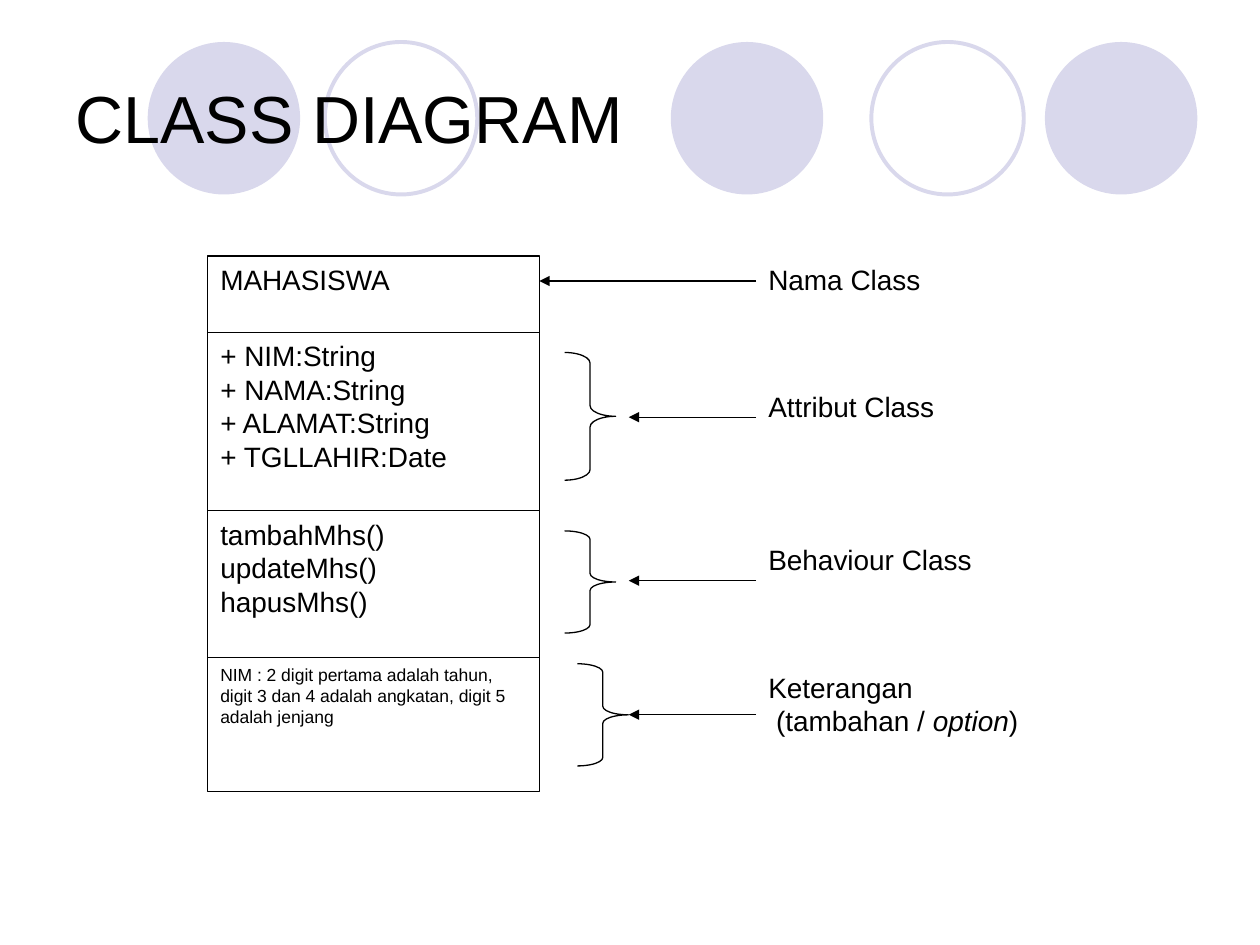
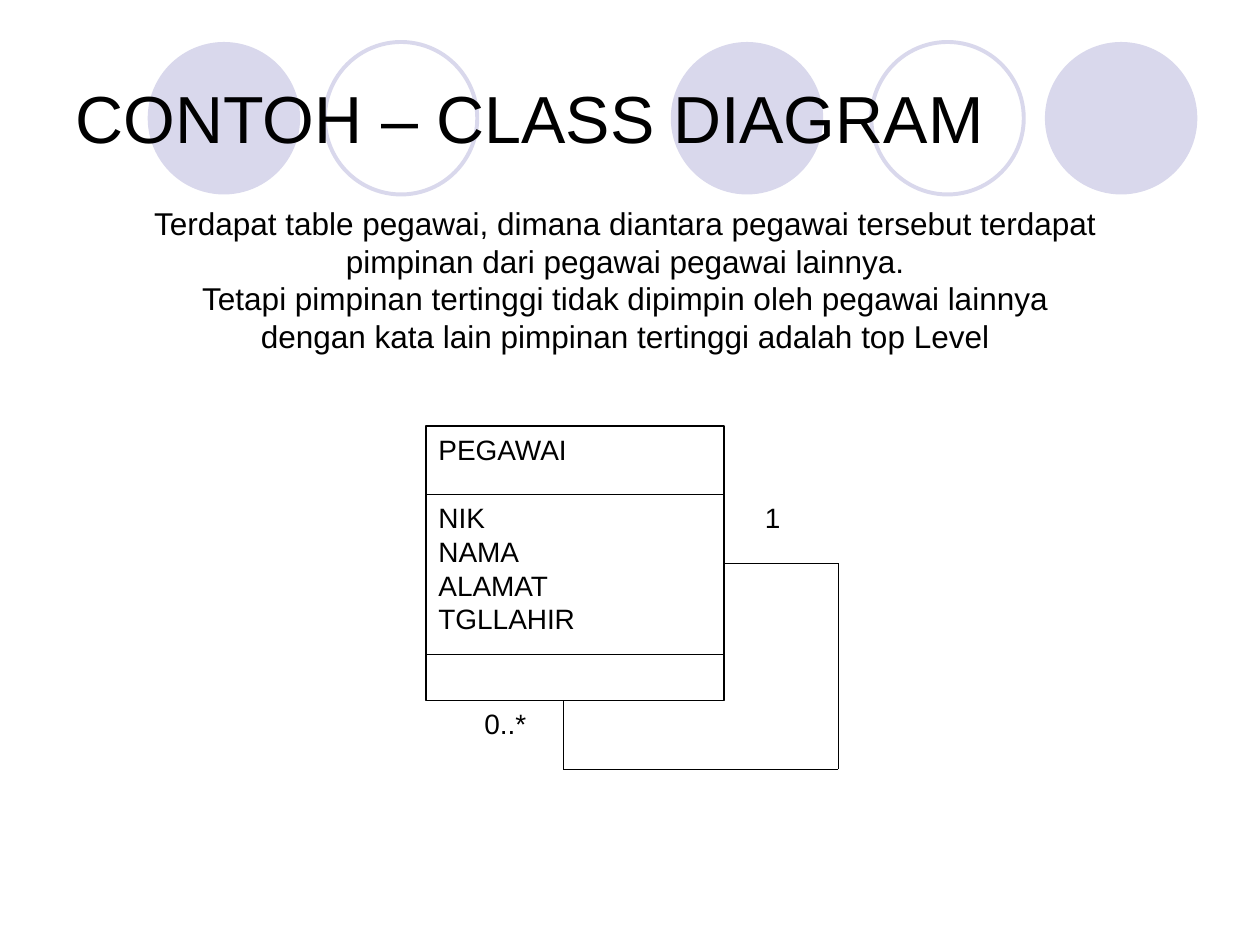
from itertools import pairwise

from lxml.etree import SubElement
from pptx import Presentation
from pptx.dml.color import RGBColor
from pptx.enum.shapes import MSO_CONNECTOR as Connector, MSO_SHAPE as Shape
from pptx.enum.text import MSO_ANCHOR as Anchor, MSO_AUTO_SIZE as AutoSize, PP_ALIGN as Align
from pptx.oxml.ns import qn
from pptx.util import Pt

BLACK, WHITE, LILAC = "000000", "FFFFFF", "D9D8EC"
FONT = "Arial"
CIRCLE_SIZE = 87.1
FILLED_CIRCLES = [383.3, 597.1, 84.4]
OUTLINED_CIRCLES = [497.9, 185.6]


def color(value):
    return RGBColor.from_string(value)


class ClassDiagramDeck:
    def __init__(self):
        self.deck = Presentation()
        self.deck.slide_width, self.deck.slide_height = Pt(720), Pt(540)
        self.layout = self.deck.slide_layouts.get_by_name("Title Only")
        self.page = None

    def new_page(self, title):
        first = self.page is None
        self.page = self.deck.slides.add_slide(self.layout)
        if first:
            self.add_circles()
        box = self.page.shapes.title
        box.left, box.top, box.width, box.height = Pt(36), Pt(21.6), Pt(648), Pt(90)
        self.fill_text(box, [title], size=38, anchor=Anchor.MIDDLE)

    def add_circles(self):
        tree = self.layout.shapes._spTree
        for left in FILLED_CIRCLES + OUTLINED_CIRCLES:
            filled = left in FILLED_CIRCLES
            circle = self.shape(Shape.OVAL, left, 24, CIRCLE_SIZE, CIRCLE_SIZE,
                                fill=LILAC if filled else None,
                                line=None if filled else LILAC, weight=2.25)
            tree.insert(2, circle._element)

    def shape(self, kind, left, top, width, height, fill=None, line=BLACK, weight=0.75):
        shape = self.page.shapes.add_shape(kind, Pt(left), Pt(top), Pt(width), Pt(height))
        shape.shadow.inherit = False
        if fill:
            shape.fill.solid()
            shape.fill.fore_color.rgb = color(fill)
        else:
            shape.fill.background()
        if line:
            shape.line.color.rgb = color(line)
            shape.line.width = Pt(weight)
        else:
            shape.line.fill.background()
        return shape

    def fill_text(self, box, lines, size=16, align=Align.LEFT, anchor=Anchor.TOP):
        frame = box.text_frame
        frame.word_wrap = True
        frame.auto_size = AutoSize.NONE
        frame.vertical_anchor = anchor
        for index, line in enumerate(lines):
            para = frame.add_paragraph() if index else frame.paragraphs[0]
            para.alignment = align
            spans = [(line, False)] if isinstance(line, str) else line
            for text, italic in spans:
                span = para.add_run()
                span.text = text
                span.font.name = FONT
                span.font.size = Pt(size)
                span.font.italic = italic
                span.font.color.rgb = color(BLACK)

    def text(self, left, top, width, height, lines, **style):
        box = self.page.shapes.add_textbox(Pt(left), Pt(top), Pt(width), Pt(height))
        self.fill_text(box, lines, **style)

    def class_box(self, left, top, width, compartments):
        for height, size, lines in compartments:
            box = self.shape(Shape.RECTANGLE, left, top, width, height, fill=WHITE)
            self.fill_text(box, lines, size=size)
            top += height

    def brace(self, left, top, height, width=29.2):
        brace = self.shape(Shape.RIGHT_BRACE, left, top, width, height)
        brace.adjustments[0] = height / 12 / width

    def line(self, start, end, arrow=False):
        line = self.page.shapes.add_connector(
            Connector.STRAIGHT, *(Pt(value) for value in start + end))
        line.line.color.rgb = color(BLACK)
        line.line.width = Pt(0.75)
        if arrow:
            SubElement(line.line._get_or_add_ln(), qn("a:tailEnd"), type="triangle")
        SubElement(line._element.spPr, qn("a:effectLst"))


def student_class(slides):
    slides.new_page("CLASS DIAGRAM")
    slides.class_box(118.8, 146.2, 189.4, [
        (43.8, 16, ["MAHASISWA"]),
        (101.9, 16, ["+ NIM:String", "+ NAMA:String", "+ ALAMAT:String", "+ TGLLAHIR:Date"]),
        (84, 16, ["tambahMhs()", "updateMhs()", "hapusMhs()"]),
        (76.3, 10, ["NIM : 2 digit pertama adalah tahun, digit 3 dan 4 adalah angkatan, "
                    "digit 5 adalah jenjang"]),
    ])
    for left, top, height in [(322.6, 201.4, 73), (322.6, 303.4, 58.4), (329.9, 379.3, 58.4)]:
        slides.brace(left, top, height)
    option = [(" (tambahan / ", False), ("option", True), (")", False)]
    callouts = [
        (146.2, 160.6, 308.2, ["Nama Class"]),
        (219, 238.4, 359.3, ["Attribut Class"]),
        (306.5, 331.8, 359.3, ["Behaviour Class"]),
        (379.4, 408.4, 359.3, ["Keterangan", option]),
    ]
    for top, arrow_y, tip, lines in callouts:
        slides.line((432, arrow_y), (tip, arrow_y), arrow=True)
        slides.text(432, top, 204.5, 58.3, lines)


def employee_class(slides):
    slides.new_page("CONTOH – CLASS DIAGRAM")
    slides.text(36.7, 113, 641, 93.6, [
        "Terdapat table pegawai, dimana diantara pegawai tersebut terdapat",
        "pimpinan dari pegawai pegawai lainnya.",
        "Tetapi pimpinan tertinggi tidak dipimpin oleh pegawai lainnya",
        "dengan kata lain pimpinan tertinggi adalah top Level",
    ], size=18, align=Align.CENTER)
    slides.class_box(243.5, 243.5, 170.3, [
        (39.2, 16, ["PEGAWAI"]),
        (91.5, 16, ["NIK", "NAMA", "ALAMAT", "TGLLAHIR"]),
        (26.1, 16, []),
    ])
    self_link = [(322, 400.3), (322, 439.6), (479, 439.6), (479, 321.9), (413.8, 321.9)]
    for start, end in pairwise(self_link):
        slides.line(start, end)
    slides.text(269.7, 400.3, 52.3, 26.1, ["0..*"])
    slides.text(426.9, 282.7, 26.1, 26.1, ["1"], align=Align.RIGHT)


def main():
    slides = ClassDiagramDeck()
    student_class(slides)
    employee_class(slides)
    slides.deck.save("out.pptx")


if __name__ == "__main__":
    main()
